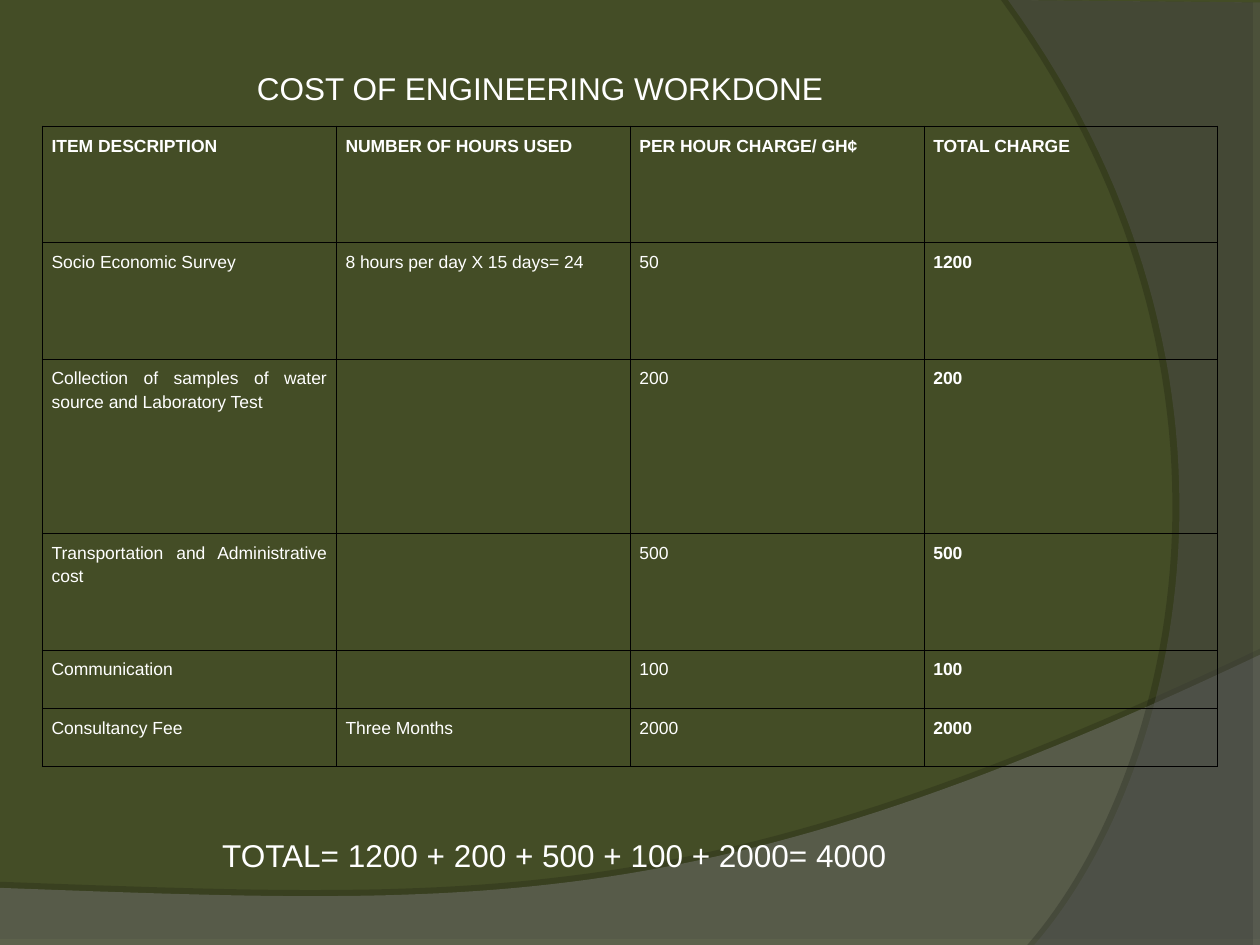
from lxml import etree
from pptx import Presentation
from pptx.dml.color import RGBColor
from pptx.enum.text import MSO_ANCHOR, MSO_AUTO_SIZE, PP_ALIGN
from pptx.oxml import parse_xml
from pptx.oxml.ns import nsdecls, qn
from pptx.util import Cm, Pt

CENTER, LEFT, JUSTIFY = PP_ALIGN.CENTER, PP_ALIGN.LEFT, PP_ALIGN.JUSTIFY
TOP = MSO_ANCHOR.TOP
NO_AUTOFIT = MSO_AUTO_SIZE.NONE

OLIVE = RGBColor(0x44, 0x4D, 0x26)
WAVE_GRAY = RGBColor(0x7C, 0x7C, 0x7C)
SIDE_GRAY = RGBColor(0x59, 0x59, 0x59)
WHITE = RGBColor(0xFF, 0xFF, 0xFF)
BLACK = RGBColor(0, 0, 0)

WIDTH, HEIGHT = 25.4, 19.05
TITLE_ONLY = 5
CURVE_STEPS = 60

HEADERS = ["ITEM DESCRIPTION", "NUMBER OF HOURS USED",
           "PER HOUR CHARGE/ GH¢", "TOTAL CHARGE"]
COSTS = [
    ["Socio Economic Survey", "8 hours per day X 15 days= 24", "50", "1200"],
    ["Collection of samples of water source and Laboratory Test", "", "200", "200"],
    ["Transportation and Administrative cost", "", "500", "500"],
    ["Communication", "", "100", "100"],
    ["Consultancy Fee", "Three Months", "2000", "2000"],
]
ROW_UNITS = [2, 2, 3, 2, 1, 1]


def bezier(start, control_1, control_2, end):
    """Points along a cubic curve, both ends included."""
    points = []
    for step in range(CURVE_STEPS + 1):
        t = step / CURVE_STEPS
        weights = ((1 - t) ** 3, 3 * t * (1 - t) ** 2, 3 * t * t * (1 - t), t ** 3)
        corners = (start, control_1, control_2, end)
        points.append(tuple(sum(w * corner[axis] for w, corner in zip(weights, corners))
                            for axis in (0, 1)))
    return points


class SlideBuilder:
    font_name = "Arial"
    text_color = WHITE

    def __init__(self, slide):
        self.slide = slide

    def style(self, paragraph, size, align, bold=False):
        paragraph.alignment = align
        font = paragraph.font
        font.name, font.size, font.bold = self.font_name, Pt(size), bold
        font.color.rgb = self.text_color

    def background(self, color):
        fill = self.slide.background.fill
        fill.solid()
        fill.fore_color.rgb = color

    def swoosh(self, points, color, opacity, shadow):
        """Translucent outline with a hard shadow (opacity, distance, angle)."""
        outline = [(Cm(x), Cm(y)) for x, y in points]
        builder = self.slide.shapes.build_freeform(*outline[0])
        builder.add_line_segments(outline[1:], close=True)
        shape = builder.convert_to_shape()
        shape.fill.solid()
        shape.fill.fore_color.rgb = color
        shape.line.fill.background()
        color_element = shape._element.spPr.find(qn("a:solidFill"))[0]
        etree.SubElement(color_element, qn("a:alpha"), val=str(opacity * 1000))
        shadow_opacity, distance, angle = shadow
        shape._element.spPr.append(parse_xml(
            f'<a:effectLst {nsdecls("a")}><a:outerShdw blurRad="0" dist="{Pt(distance)}" '
            f'dir="{angle * 60000}" algn="ctr" rotWithShape="0"><a:srgbClr val="{BLACK}">'
            f'<a:alpha val="{shadow_opacity * 1000}"/></a:srgbClr></a:outerShdw></a:effectLst>'))

    def fill_text(self, shape, text, align, wrap):
        frame = shape.text_frame
        frame.text = text
        frame.word_wrap = wrap
        frame.auto_size = NO_AUTOFIT
        frame.vertical_anchor = TOP
        self.style(frame.paragraphs[0], 18, align)

    def title(self, text, left, top, width, height):
        shape = self.slide.shapes.title
        shape.left, shape.top, shape.width, shape.height = map(Cm, (left, top, width, height))
        self.fill_text(shape, text, CENTER, False)

    def text(self, text, left, top, width, height):
        shape = self.slide.shapes.add_textbox(*map(Cm, (left, top, width, height)))
        self.fill_text(shape, text, LEFT, True)

    def cell(self, cell, text, bold):
        cell.text = text
        cell.fill.background()
        cell.margin_left = cell.margin_right = Cm(0.19)
        cell.margin_top = cell.margin_bottom = Cm(0.13)
        paragraph = cell.text_frame.paragraphs[0]
        paragraph.line_spacing = 1.2
        paragraph.space_after = Pt(6)
        self.style(paragraph, 10, JUSTIFY, bold)
        # Borders come before the fill in the cell properties
        properties = cell._tc.get_or_add_tcPr()
        for index, side in enumerate(("lnL", "lnR", "lnT", "lnB")):
            properties.insert(index, parse_xml(
                f'<a:{side} {nsdecls("a")} w="{Pt(0.45)}"><a:solidFill>'
                f'<a:srgbClr val="{BLACK}"/></a:solidFill></a:{side}>'))

    def table(self, rows, row_units, left, top, width, height):
        table = self.slide.shapes.add_table(
            len(rows), len(rows[0]), *map(Cm, (left, top, width, height))).table
        table.first_row = table.horz_banding = False
        for column in table.columns:
            column.width = Cm(width / len(rows[0]))
        for row_index, values in enumerate(rows):
            table.rows[row_index].height = Cm(height * row_units[row_index] / sum(row_units))
            for column_index, value in enumerate(values):
                bold = row_index == 0 or column_index == len(values) - 1
                self.cell(table.cell(row_index, column_index), value, bold)


def main():
    presentation = Presentation()
    presentation.slide_width, presentation.slide_height = Cm(WIDTH), Cm(HEIGHT)
    slide = presentation.slides.add_slide(presentation.slide_layouts[TITLE_ONLY])
    builder = SlideBuilder(slide)

    # Backdrop: bottom wave and right-hand arc
    builder.background(OLIVE)
    wave = bezier((WIDTH, 13.2), (14.2, 18.52), (9.93, 18.26), (0, 17.9))
    builder.swoosh([(0, HEIGHT), (WIDTH, HEIGHT)] + wave, WAVE_GRAY, 45, (35, 3.5, 270))
    arc = bezier((20.85, HEIGHT), (23.75, 15.72), (25.86, 7.62), (20.32, 0))
    builder.swoosh([(WIDTH, 0.05), (WIDTH, HEIGHT)] + arc, SIDE_GRAY, 40, (45, 4, 180))

    # Cost table between heading and total
    builder.title("COST OF ENGINEERING WORKDONE", 4.92, 1.27, 11.94, 1.02)
    builder.table([HEADERS] + COSTS, ROW_UNITS, 0.85, 2.54, 23.7, 12.91)
    builder.text("TOTAL= 1200 + 200 + 500 + 100 + 2000= 4000", 4.23, 16.72, 18.46, 1.02)

    presentation.save("out.pptx")


if __name__ == "__main__":
    main()
